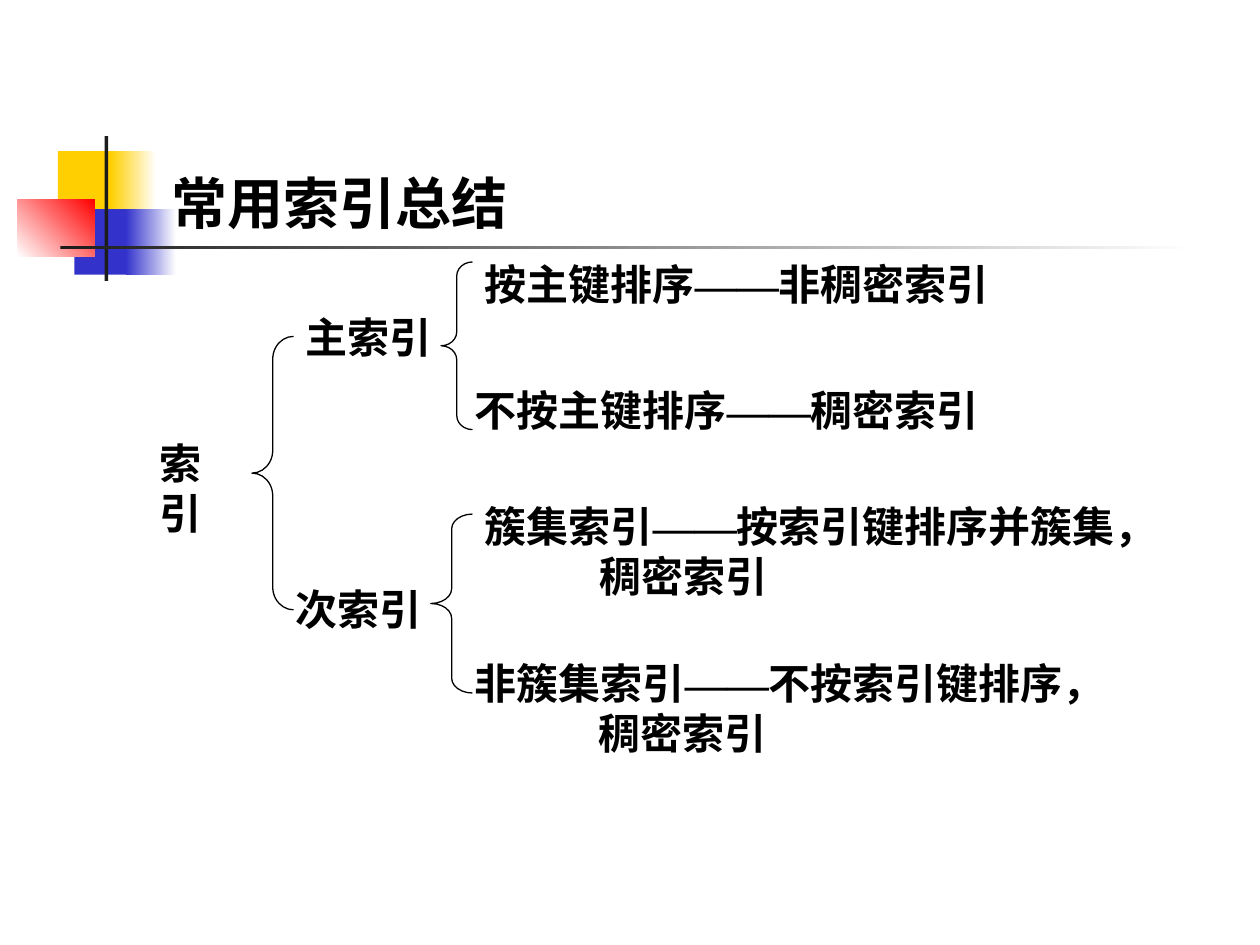
"""Build a one-page summary tree of common database index types."""
from dataclasses import dataclass

from pptx import Presentation
from pptx import util as u
from pptx.dml.color import RGBColor
from pptx.enum import shapes, text
from pptx.oxml.ns import qn


@dataclass(frozen=True)
class Theme:
    ink: str = "000000"
    paper: str = "FFFFFF"
    yellow: str = "FFCF01"
    blue: str = "3333CC"
    red: str = "FF0000"
    rule: str = "1C1C1C"
    title_size: int = 32
    label_size: int = 24
    title_font: str = "Cabin"
    chinese_font: str = "Noto Sans CJK SC"
    dash_font: str = "Times New Roman"


theme = Theme()


def add_span(para, words, size, latin, asian):
    span = para.add_run()
    span.text = words
    span.font.size = u.Pt(size)
    span.font.bold = True
    span.font.name = latin
    span.font.color.rgb = RGBColor.from_string(theme.ink)
    east = span._r.get_or_add_rPr().makeelement(qn("a:ea"), {"typeface": asian})
    span._r.rPr.find(qn("a:latin")).addnext(east)


def add_label(left, top, width, height, lines, indent=0, wrap=True):
    box = page.shapes.add_textbox(*map(u.Inches, (left, top, width, height)))
    frame = box.text_frame
    frame.word_wrap = wrap
    frame.auto_size = text.MSO_AUTO_SIZE.SHAPE_TO_FIT_TEXT
    for number, pieces in enumerate(lines):
        para = frame.add_paragraph() if number else frame.paragraphs[0]
        if number:
            para._p.get_or_add_pPr().set("marL", str(u.Inches(indent)))
        for words in pieces:
            font = theme.dash_font if words == "——" else theme.chinese_font
            add_span(para, words, theme.label_size, font, font)


deck = Presentation()
deck.slide_width = u.Inches(10)
deck.slide_height = u.Inches(7.5)
page = deck.slides.add_slide(deck.slide_layouts[5])

ornaments = [
    (0.46, 1.2, 0.48, 0.52, [theme.yellow], 0),
    (0.88, 1.2, 0.36, 0.52, [theme.yellow, theme.paper], 0),
    (0.59, 1.66, 0.46, 0.52, [theme.blue], 0),
    (1, 1.66, 0.4, 0.52, [theme.blue, theme.paper], 0),
    (0.14, 1.58, 0.61, 0.46, [theme.paper, theme.red], 45),
    (0.83, 1.08, 0.03, 1.15, [theme.rule], 0),
    (0.48, 1.95, 9, 0.03, [theme.rule, theme.paper], 0),
]
for *place, colours, angle in ornaments:
    block = page.shapes.add_shape(shapes.MSO_SHAPE.RECTANGLE, *map(u.Inches, place))
    block.shadow.inherit = False
    block.line.fill.background()
    if len(colours) == 1:
        block.fill.solid()
        block.fill.fore_color.rgb = RGBColor.from_string(colours[0])
    else:
        block.fill.gradient()
        block.fill.gradient_angle = angle
        for stop, colour in zip(block.fill.gradient_stops, colours):
            stop.color.rgb = RGBColor.from_string(colour)

title = page.shapes.title
title.left, title.top = u.Inches(1.26), u.Inches(0.67)
title.width, title.height = u.Inches(8.52), u.Inches(1.25)
title.text_frame.vertical_anchor = text.MSO_ANCHOR.BOTTOM
title.text_frame.auto_size = text.MSO_AUTO_SIZE.NONE
heading = title.text_frame.paragraphs[0]
heading.alignment = text.PP_ALIGN.LEFT
add_span(heading, "常用索引总结", theme.title_size, theme.title_font, theme.chinese_font)
title._element.getparent().append(title._element)

braces = [
    (2, 2.67, 0.33, 2.17),
    (3.5, 2.08, 0.25, 1.33),
    (3.42, 4.08, 0.33, 1.42),
]
for left, top, width, height in braces:
    brace = page.shapes.add_shape(
        shapes.MSO_SHAPE.LEFT_BRACE, *map(u.Inches, (left, top, width, height)))
    brace.adjustments[0] = height / 12 / width
    brace.shadow.inherit = False
    brace.fill.background()
    brace.line.color.rgb = RGBColor.from_string(theme.ink)
    brace.line.width = u.Pt(0.75)

add_label(1.17, 3.42, 0.86, 0.5, [["索引"]], wrap=False)
add_label(2.33, 2.42, 1.25, 0.5, [["主索引"]])
add_label(2.25, 4.58, 1.25, 0.5, [["次索引"]])
add_label(3.75, 2, 4.42, 0.5, [["按主键排序", "——", "非稠密索引"]])
add_label(3.67, 3, 4.42, 0.5, [["不按主键排序", "——", "稠密索引"]])
add_label(3.75, 3.92, 5.58, 0.9,
          [["簇集索引", "——", "按索引键排序并簇集，"], ["稠密索引"]], indent=0.91)
add_label(3.67, 5.17, 5.58, 0.9,
          [["非簇集索引", "——", "不按索引键排序，"], ["稠密索引"]], indent=0.98)

deck.save("out.pptx")
